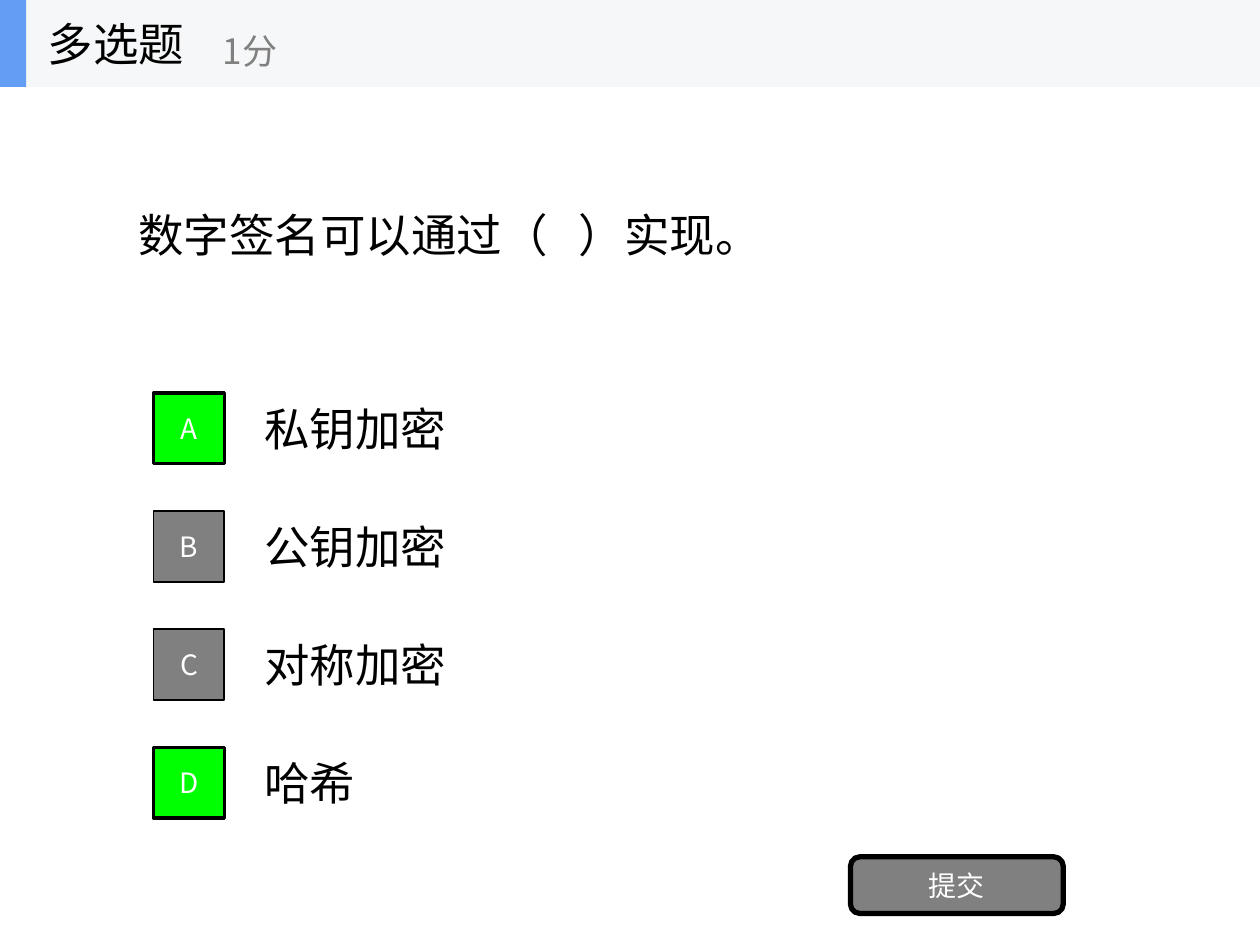
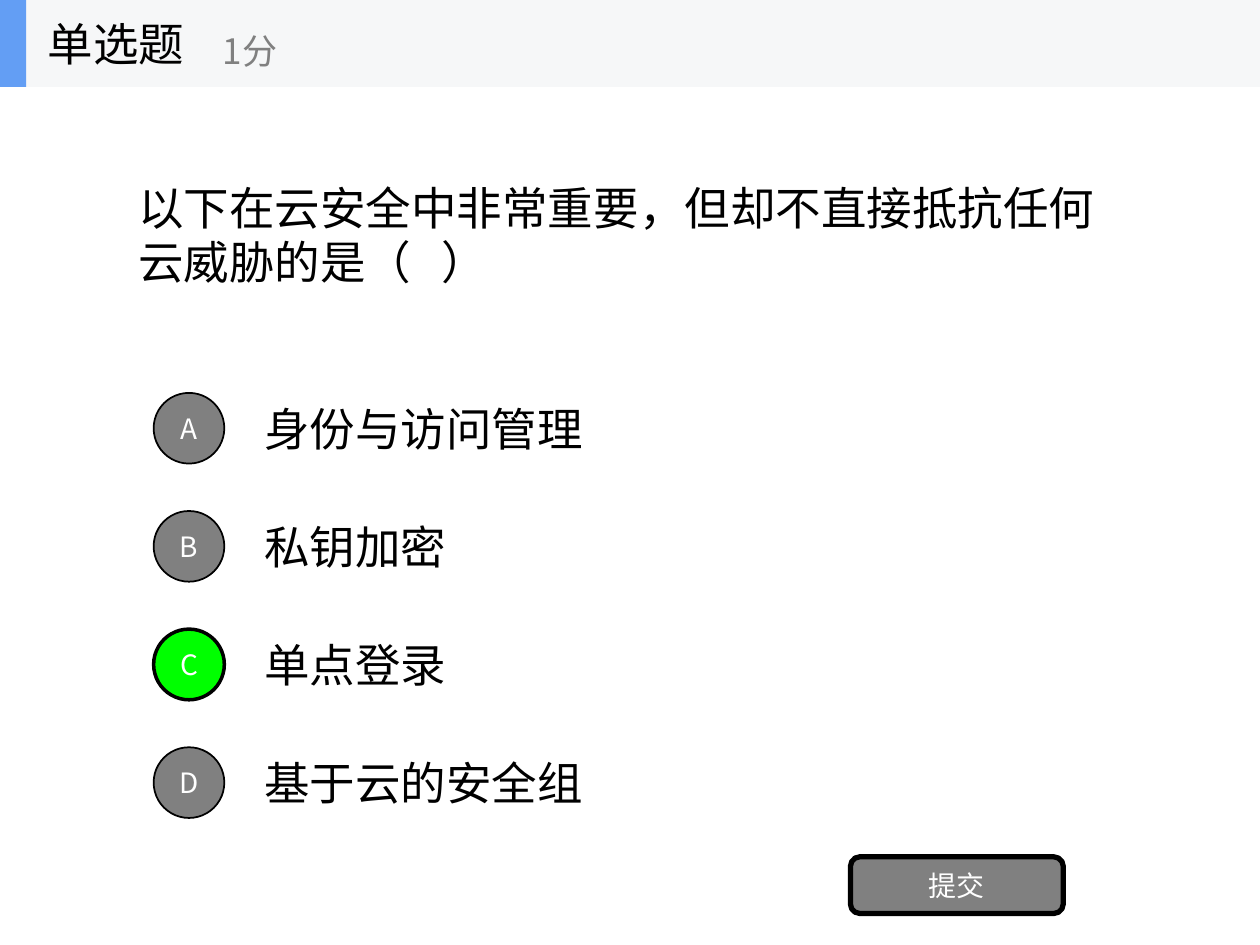
"""Build two quiz slides: a multiple-choice and a single-choice question."""
from lxml import etree
from pptx import Presentation
from pptx.dml.color import RGBColor
from pptx.enum.shapes import MSO_SHAPE
from pptx.enum.text import MSO_ANCHOR, PP_ALIGN
from pptx.oxml.ns import qn
from pptx.util import Pt

RECTANGLE = MSO_SHAPE.RECTANGLE
ROUNDED = MSO_SHAPE.ROUNDED_RECTANGLE
OVAL = MSO_SHAPE.OVAL
MIDDLE = MSO_ANCHOR.MIDDLE
LEFT = PP_ALIGN.LEFT
CENTER = PP_ALIGN.CENTER

FONT = "Noto Sans CJK SC"
BLACK, WHITE, GRAY = "000000", "FFFFFF", "808080"
GREEN, BAND, ACCENT = "00FF00", "F6F7F8", "639EF4"

SLIDE_WIDTH, SLIDE_HEIGHT = 720, 540
HEADER_HEIGHT = 49.7
OPTION_TOP, OPTION_HEIGHT, OPTION_PITCH = 219.5, 50.4, 67.5
MARKER_SIZE = 40.4

QUESTIONS = [
    ("多选题", "数字签名可以通过（   ）实现。", RECTANGLE, "AD",
     ["私钥加密", "公钥加密", "对称加密", "哈希"]),
    ("单选题", "以下在云安全中非常重要，但却不直接抵抗任何云威胁的是（   ）", OVAL, "C",
     ["身份与访问管理", "私钥加密", "单点登录", "基于云的安全组"]),
]


def add_text(shapes, box, text, size, color=BLACK, shape=None):
    """Write text into the given shape, or into a new text box."""
    align = CENTER if shape else LEFT
    shape = shape or shapes.add_textbox(*map(Pt, box))
    frame = shape.text_frame
    frame.word_wrap = True
    frame.vertical_anchor = MIDDLE
    paragraph = frame.paragraphs[0]
    paragraph.alignment = align
    run = paragraph.add_run()
    run.text = text
    run.font.size = Pt(size)
    run.font.name = FONT
    run.font.color.rgb = RGBColor.from_string(color)
    etree.SubElement(run.font._element, qn("a:ea"), typeface=FONT)


def add_block(shapes, kind, box, fill, line_width=0, text=""):
    """Add a filled shape, with a black outline and white label if given."""
    shape = shapes.add_shape(kind, *map(Pt, box))
    shape.shadow.inherit = False
    shape.fill.solid()
    shape.fill.fore_color.rgb = RGBColor.from_string(fill)
    if line_width:
        shape.line.color.rgb = RGBColor.from_string(BLACK)
        shape.line.width = Pt(line_width)
    else:
        shape.line.fill.background()
    if text:
        add_text(shapes, box, text, 16, WHITE, shape)


presentation = Presentation()
presentation.slide_width = Pt(SLIDE_WIDTH)
presentation.slide_height = Pt(SLIDE_HEIGHT)

for title, question, marker_kind, answers, options in QUESTIONS:
    slide = presentation.slides.add_slide(presentation.slide_layouts[6])
    shapes = slide.shapes

    add_text(shapes, (72, HEADER_HEIGHT, 576, 168.5), question, 26)

    for index, option in enumerate(options):
        top = OPTION_TOP + index * OPTION_PITCH
        add_text(shapes, (144, top, 504, OPTION_HEIGHT), option, 26)

    for index, letter in enumerate("ABCD"):
        top = OPTION_TOP + index * OPTION_PITCH + (OPTION_HEIGHT - MARKER_SIZE) / 2
        fill, line_width = (GREEN, 2) if letter in answers else (GRAY, 1)
        box = (87.8, top, MARKER_SIZE, MARKER_SIZE)
        add_block(shapes, marker_kind, box, fill, line_width, letter)

    add_block(shapes, ROUNDED, (486, 489.6, 121.6, 32.4), GRAY, 3, "提交")

    header = shapes.add_group_shape().shapes
    add_block(header, RECTANGLE, (0, 0, SLIDE_WIDTH, HEADER_HEIGHT), BAND)
    add_block(header, RECTANGLE, (0, 0, 15, HEADER_HEIGHT), ACCENT)
    add_text(header, (20.2, 0, 150, HEADER_HEIGHT), title, 26)
    add_text(header, (120.2, 8.8, 180, 40.4), "1分", 20, GRAY)

presentation.save("out.pptx")
